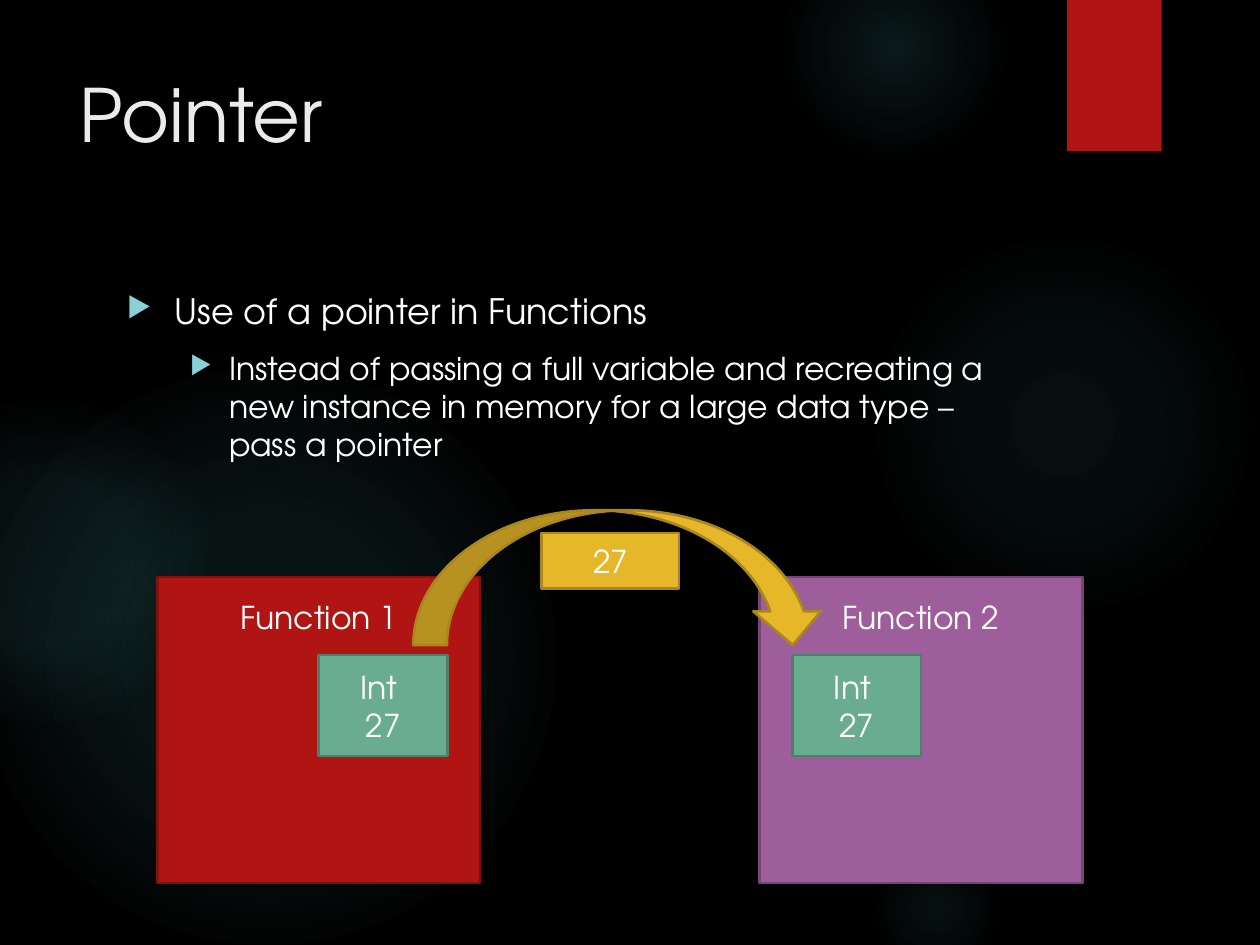
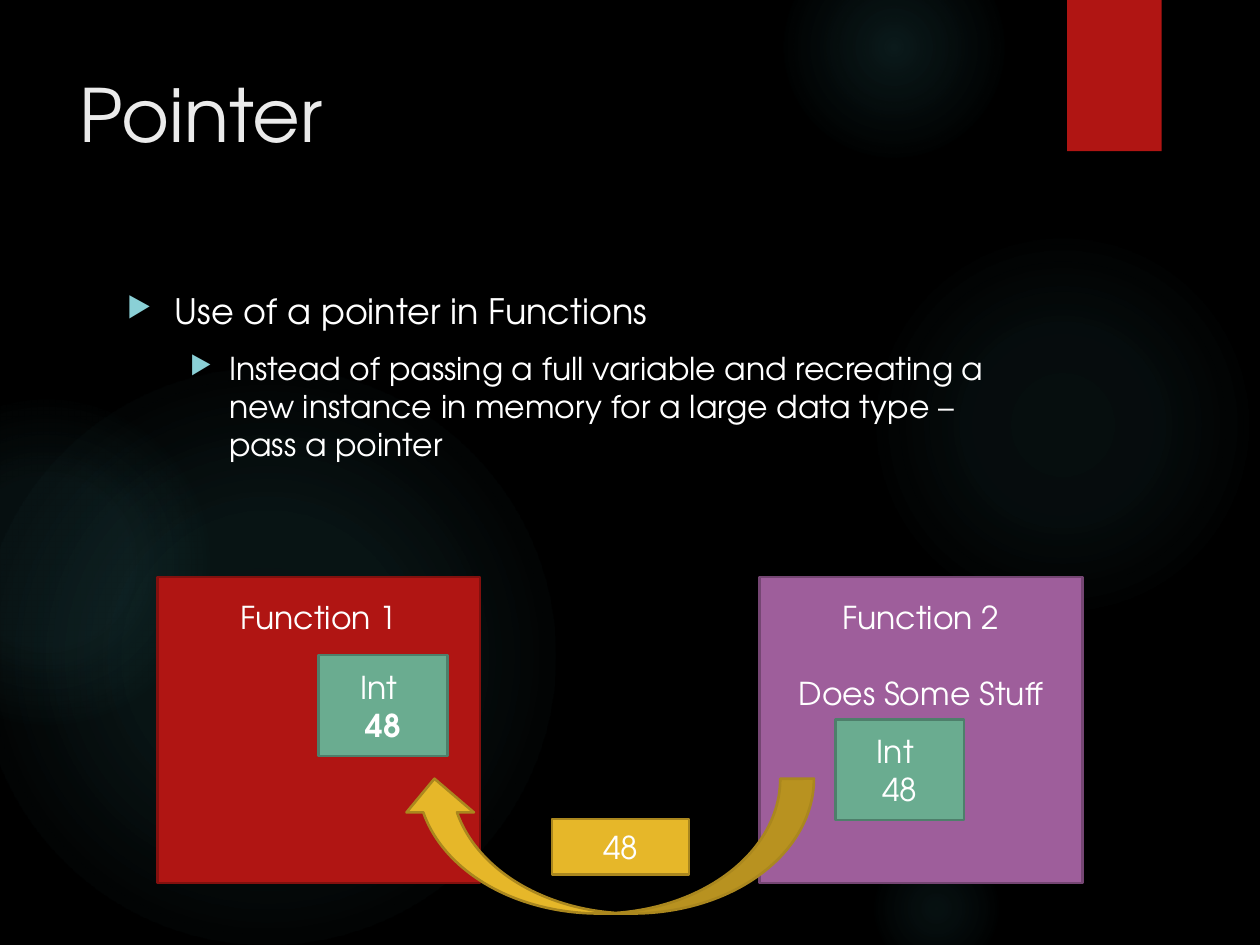
import dataclasses

import lxml.etree
import pptx
import pptx.dml.color
import pptx.enum.shapes
import pptx.enum.text
import pptx.oxml
import pptx.oxml.ns
import pptx.util

Inches = pptx.util.Inches
Shape = pptx.enum.shapes.MSO_SHAPE
Align = pptx.enum.text.PP_ALIGN
Anchor = pptx.enum.text.MSO_ANCHOR
SPACE = pptx.oxml.ns.nsdecls("a")


@dataclasses.dataclass(frozen=True)
class Theme:
    """Colours (fill, edge), font and type sizes of the deck."""

    back: str = "000000"
    ink: str = "FFFFFF"
    head: str = "EBEBEB"
    mark: str = "8AD0D6"
    glow: str = "50B9C1"
    red: tuple = ("B01513", "82100E")
    plum: tuple = ("9E5E9B", "754673")
    green: tuple = ("6AAC90", "4E7F6B")
    gold: tuple = ("E6B729", "AA871E")
    font: str = "TeX Gyre Adventor"
    title: int = 42
    lead: int = 20
    base: int = 18


THEME = Theme()
BLOCK = (2.56, 2.43)
CELL = (1.02, 0.8)
ARC = (3.28, 1.07)
TAG = (1.09, 0.44)
GLOWS = [
    (6.89, 1.83, 3.08, ((0, 7), (36, 6), (69, 0))),
    (6.22, -0.5, 1.75, ((0, 14), (36, 7), (73, 0))),
    (6.89, 6.67, 1.08, ((0, 9), (36, 5), (66, 0))),
    (-0.17, 2.92, 4.58, ((0, 11), (36, 10), (75, 0))),
    (-0.92, 3.17, 2.58, ((0, 8), (36, 8), (72, 0))),
]
POINTS = [
    "Use of a pointer in Functions",
    "Instead of passing a full variable and recreating a new instance "
    "in memory for a large data type – pass a pointer",
]


def tint(code):
    """Turn a hex code into a colour."""
    return pptx.dml.color.RGBColor.from_string(code)


def write(frame, text, size=THEME.base, color=THEME.ink, bold=False,
          align=Align.CENTER, anchor=Anchor.MIDDLE, gap=0, first=True):
    """Write one formatted paragraph and return it."""
    frame.word_wrap = True
    frame.auto_size = pptx.enum.text.MSO_AUTO_SIZE.NONE
    frame.vertical_anchor = anchor
    para = frame.paragraphs[0] if first else frame.add_paragraph()
    para.alignment = align
    para.space_before = pptx.util.Pt(gap)
    run = para.add_run()
    run.text = text
    run.font.name = THEME.font
    run.font.size = pptx.util.Pt(size)
    run.font.bold = bold
    run.font.color.rgb = tint(color)
    return para


def draw(slide, kind, box, paint=None):
    """Add a flat shape, painted with a fill and an edge if given."""
    shape = slide.shapes.add_shape(kind, *map(Inches, box))
    shape.shadow.inherit = False
    if paint:
        shape.fill.solid()
        shape.fill.fore_color.rgb = tint(paint[0])
        shape.line.color.rgb = tint(paint[1])
        shape.line.width = pptx.util.Pt(1.5)
    else:
        shape.line.fill.background()
    return shape


def add_glow(slide, left, top, size, stops):
    """Add a round glow that fades out from its centre."""
    shape = draw(slide, Shape.OVAL, (left, top, size, size))
    marks = "".join(
        f'<a:gs pos="{pos * 1000}"><a:srgbClr val="{THEME.glow}">'
        f'<a:alpha val="{alpha * 1000}"/></a:srgbClr></a:gs>'
        for pos, alpha in stops)
    fill = pptx.oxml.parse_xml(
        f'<a:gradFill {SPACE} rotWithShape="1"><a:gsLst>{marks}</a:gsLst>'
        '<a:path path="circle"><a:fillToRect l="50000" t="50000" '
        'r="50000" b="50000"/></a:path></a:gradFill>')
    shape.element.spPr.find(pptx.oxml.ns.qn("a:prstGeom")).addnext(fill)


def add_band(slide, box):
    """Add the red band with its soft shadow."""
    band = draw(slide, Shape.RECTANGLE, box, THEME.red)
    band.line.fill.background()
    cast = band.element.spPr.find(pptx.oxml.ns.qn("a:effectLst"))
    cast.append(pptx.oxml.parse_xml(
        f'<a:outerShdw {SPACE} blurRad="38100" dist="25400" dir="5400000">'
        '<a:srgbClr val="000000"><a:alpha val="45000"/></a:srgbClr>'
        '</a:outerShdw>'))


def add_base(deck, title):
    """Add a slide with the shared backdrop, band and title."""
    slide = deck.slides.add_slide(deck.slide_layouts[5])
    slide.background.fill.solid()
    slide.background.fill.fore_color.rgb = tint(THEME.back)
    for glow in GLOWS:
        add_glow(slide, *glow)
    add_band(slide, (8.47, 0, 0.75, 1.2))
    head = slide.shapes.title
    head.left, head.top, head.width, head.height = map(
        Inches, (0.53, 0.5, 7.72, 1.53))
    write(head.text_frame, title, size=THEME.title, color=THEME.head,
          align=Align.LEFT, anchor=Anchor.TOP)
    return slide


def add_points(slide, box):
    """Add the two levels of bulleted text."""
    frame = slide.shapes.add_textbox(*map(Inches, box)).text_frame
    styles = [(THEME.lead, 0.38, 0.38), (THEME.base, 0.81, 0.31)]
    for level, (text, (size, left, hang)) in enumerate(zip(POINTS, styles)):
        para = write(frame, text, size=size, align=Align.LEFT,
                     anchor=Anchor.TOP, gap=10, first=level == 0)
        para.level = level
        props = para._p.get_or_add_pPr()
        props.set("marL", str(Inches(left)))
        props.set("indent", str(-Inches(hang)))
        for mark in (
                f'<a:buClr {SPACE}><a:srgbClr val="{THEME.mark}"/></a:buClr>',
                f'<a:buSzPct {SPACE} val="80000"/>',
                f'<a:buChar {SPACE} char="▶"/>'):
            props.append(pptx.oxml.parse_xml(mark))


def add_block(slide, spot, paint, lines, cell, value, bold=False):
    """Add a function block that holds an integer cell."""
    left, top = spot
    block = draw(slide, Shape.RECTANGLE, (left, top, *BLOCK), paint)
    frame = block.text_frame
    frame.margin_top = Inches(0.17)
    for row, line in enumerate(lines):
        write(frame, line, anchor=Anchor.TOP, gap=21.6 * (row > 0),
              first=row == 0)
    box = (left + cell[0], top + cell[1], *CELL)
    frame = draw(slide, Shape.RECTANGLE, box, THEME.green).text_frame
    write(frame, "Int ")
    write(frame, value, bold=bold, first=False)


def add_pass(slide, spot, tag, value, turn=0):
    """Add the curved arrow and the value that it carries."""
    left, top = spot
    arc = draw(slide, Shape.CURVED_DOWN_ARROW, (left, top, *ARC), THEME.gold)
    arc.rotation = turn
    box = (left + tag[0], top + tag[1], *TAG)
    write(draw(slide, Shape.RECTANGLE, box, THEME.gold).text_frame, value)


def add_call(deck, value, bold, tasks, cell, arc, tag, turn):
    """Add a slide on which a value passes between two functions."""
    slide = add_base(deck, "Pointer")
    add_points(slide, (0.91, 2.25, 7.34, 4.59))
    add_block(slide, (1.25, 4.58), THEME.red, ["Function 1"],
              (1.28, 0.62), value, bold)
    add_block(slide, (6.03, 4.58), THEME.plum, ["Function 2", *tasks],
              cell, value)
    add_pass(slide, arc, tag, value, turn)


def main():
    """Build and save the deck."""
    deck = pptx.Presentation()
    deck.slide_width, deck.slide_height = Inches(10), Inches(7.5)
    add_call(deck, "27", False, [], cell=(0.26, 0.62),
             arc=(3.28, 4.05), tag=(1.02, 0.18), turn=0)
    add_call(deck, "48", True, ["Does Some Stuff"], cell=(0.6, 1.13),
             arc=(3.18, 6.18), tag=(1.2, 0.32), turn=180)
    deck.save("out.pptx")


if __name__ == "__main__":
    main()
